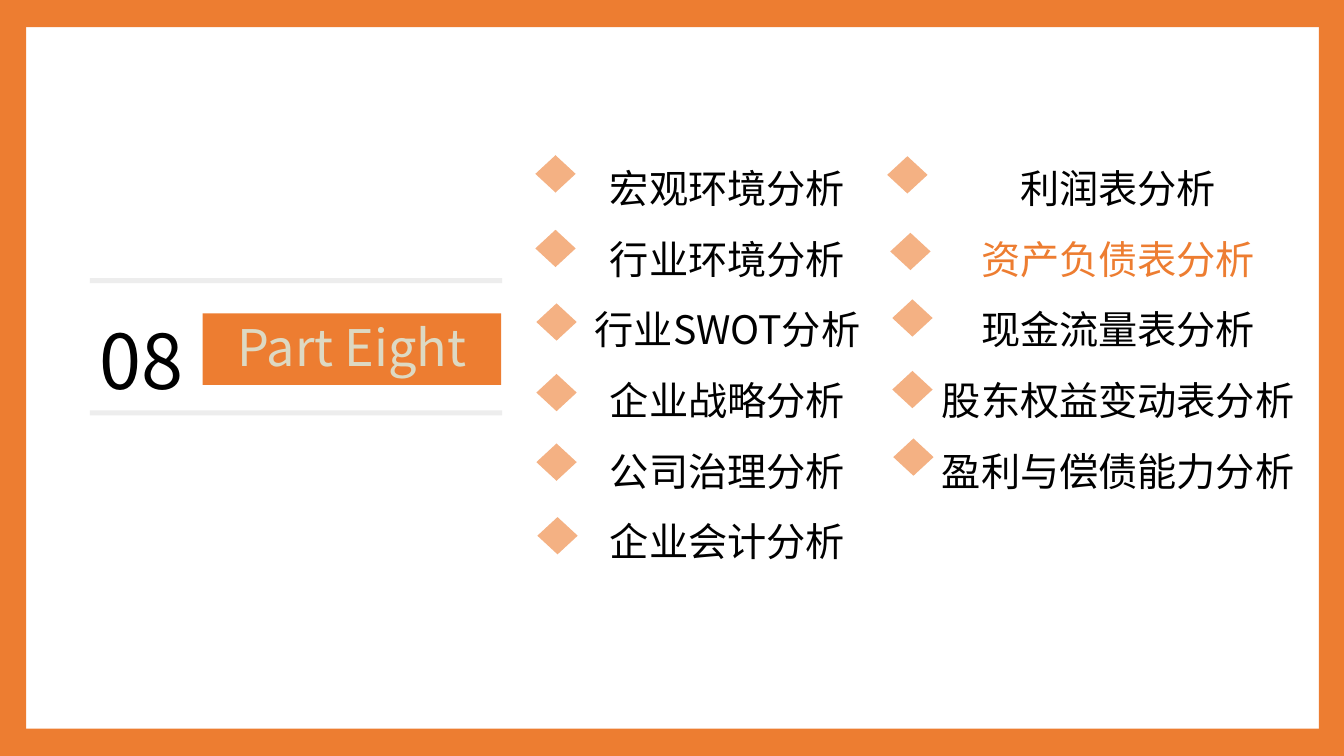
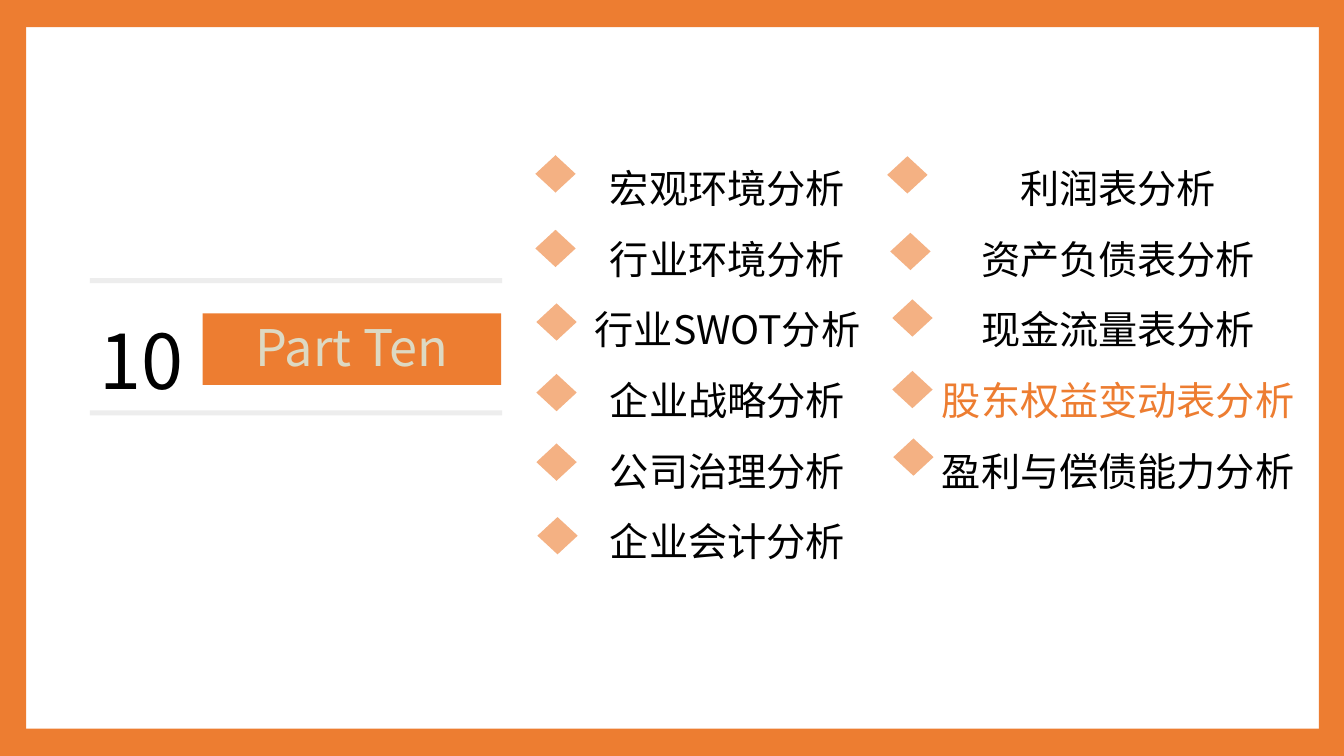
from dataclasses import dataclass

from lxml.etree import SubElement
from pptx import Presentation
from pptx.dml.color import RGBColor
from pptx.enum.shapes import MSO_SHAPE
from pptx.enum.text import MSO_ANCHOR, MSO_AUTO_SIZE, PP_ALIGN
from pptx.oxml.ns import qn
from pptx.util import Inches, Pt


@dataclass(frozen=True)
class Theme:
    font: str = "Noto Sans CJK SC"
    accent: str = "ED7D31"
    marker: str = "F4B183"
    rule: str = "EDEDED"
    label: str = "DDD9C3"
    ink: str = "000000"
    number_size: float = 54
    label_size: float = 36
    topic_size: float = 28
    topic_pitch: float = 50.4


THEME = Theme()

# number, label, highlighted topic
SECTIONS = [
    ("08", "Part Eight", "资产负债表分析"),
    ("10", "Part Ten", "股东权益变动表分析"),
]

# text box, then each topic with the left and top of its marker
COLUMNS = [
    ((5.19, 1.33, 4.05, 4.34), [
        ("宏观环境分析", 5.31, 1.54),
        ("行业环境分析", 5.31, 2.28),
        ("行业SWOT分析", 5.32, 3.01),
        ("企业战略分析", 5.32, 3.71),
        ("公司治理分析", 5.32, 4.4),
        ("企业会计分析", 5.33, 5.13),
    ]),
    ((9.16, 1.33, 3.86, 3.64), [
        ("利润表分析", 8.8, 1.55),
        ("资产负债表分析", 8.83, 2.31),
        ("现金流量表分析", 8.85, 2.97),
        ("股东权益变动表分析", 8.85, 3.68),
        ("盈利与偿债能力分析", 8.86, 4.35),
    ]),
]

FRAME = [
    (0, 0, 13.33, 0.27),
    (0, 7.23, 13.33, 0.27),
    (0, 0, 0.26, 7.5),
    (13.08, 0, 0.26, 7.5),
]
RULES = [(0.89, top, 4.09, 0.05) for top in (2.76, 4.07)]
NUMBER_BOX = (0.89, 2.99, 1.96, 1.01)
LABEL_BOX = (2.01, 3.11, 2.96, 0.71)
MARKER_SIZE = (0.4, 0.37)


def place(sp, box):
    sp.left, sp.top, sp.width, sp.height = map(Inches, box)


def add_block(s, kind, box, color):
    sp = s.shapes.add_shape(kind, *map(Inches, box))
    sp.shadow.inherit = False
    sp.fill.solid()
    sp.fill.fore_color.rgb = RGBColor.from_string(color)
    sp.line.fill.background()


def style_run(r, size, color):
    r.font.size = Pt(size)
    r.font.name = THEME.font
    r.font.color.rgb = RGBColor.from_string(color)
    SubElement(r.font._element, qn("a:ea"), typeface=THEME.font)


def set_frame(tf, anchor, top=0.05):
    tf.word_wrap = True
    tf.auto_size = MSO_AUTO_SIZE.NONE
    tf.vertical_anchor = anchor
    tf.margin_top = Inches(top)


def add_number(s, number):
    sp = s.shapes.add_textbox(*map(Inches, NUMBER_BOX))
    tf = sp.text_frame
    set_frame(tf, MSO_ANCHOR.TOP, 0.12)
    tf.text = number
    p = tf.paragraphs[0]
    p.line_spacing = Pt(THEME.number_size * 1.2)
    style_run(p.runs[0], THEME.number_size, THEME.ink)


def set_label(sp, label):
    place(sp, LABEL_BOX)
    sp.fill.solid()
    sp.fill.fore_color.rgb = RGBColor.from_string(THEME.accent)
    tf = sp.text_frame
    set_frame(tf, MSO_ANCHOR.MIDDLE, 0)
    tf.margin_bottom = Inches(0.05)
    tf.text = label
    p = tf.paragraphs[0]
    p.alignment = PP_ALIGN.CENTER
    style_run(p.runs[0], THEME.label_size, THEME.label)


def set_topics(sp, box, topics, current):
    place(sp, box)
    tf = sp.text_frame
    set_frame(tf, MSO_ANCHOR.TOP, 0.07)
    tf.text = "\n".join(topics)
    for p, topic in zip(tf.paragraphs, topics):
        pPr = p._p.get_or_add_pPr()
        pPr.set("marL", "0")
        pPr.set("indent", "0")
        SubElement(pPr, qn("a:buNone"))
        p.alignment = PP_ALIGN.CENTER
        p.line_spacing = Pt(THEME.topic_pitch)
        p.space_before = Pt(0)
        color = THEME.accent if topic == current else THEME.ink
        for r in p.runs:
            style_run(r, THEME.topic_size, color)


def add_section(prs, number, label, current):
    s = prs.slides.add_slide(prs.slide_layouts.get_by_name("Two Content"))
    title, *bodies = s.placeholders
    for box in FRAME:
        add_block(s, MSO_SHAPE.RECTANGLE, box, THEME.accent)
    for box in RULES:
        add_block(s, MSO_SHAPE.RECTANGLE, box, THEME.rule)
    add_number(s, number)
    set_label(title, label)
    for body, (box, items) in zip(bodies, COLUMNS):
        set_topics(body, box, [topic for topic, _, _ in items], current)
        for _, left, top in items:
            add_block(s, MSO_SHAPE.DIAMOND, (left, top, *MARKER_SIZE), THEME.marker)


def main():
    prs = Presentation()
    prs.slide_width, prs.slide_height = Inches(13.33), Inches(7.5)
    for section in SECTIONS:
        add_section(prs, *section)
    prs.save("out.pptx")


if __name__ == "__main__":
    main()
